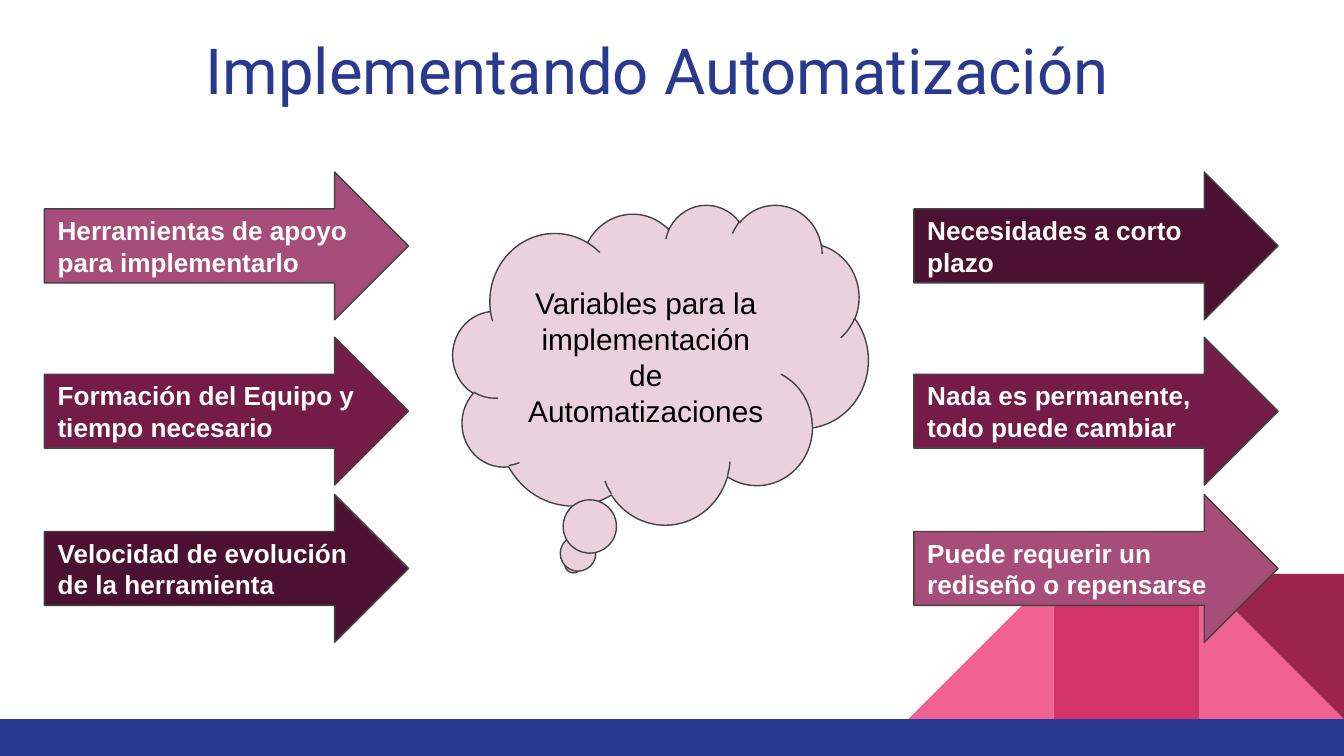
from dataclasses import dataclass

from pptx import Presentation
from pptx.dml.color import RGBColor
from pptx.enum.shapes import MSO_SHAPE
from pptx.enum.text import MSO_ANCHOR, PP_ALIGN
from pptx.shapes.autoshape import Shape
from pptx.slide import Slide
from pptx.util import Inches, Pt

COLORS = {
    "blue": "2A3990",
    "pink": "F06292",
    "rose": "D23369",
    "crimson": "9C254D",
    "mauve": "A64D79",
    "plum": "741B47",
    "wine": "4C1130",
    "blush": "EAD1DC",
    "outline": "434343",
    "white": "FFFFFF",
    "black": "000000",
}


@dataclass(frozen=True)
class Box:
    left: float
    top: float
    width: float
    height: float


@dataclass(frozen=True)
class TextStyle:
    size: float
    color: str
    font: str = "Arial"
    bold: bool = False
    align: PP_ALIGN = PP_ALIGN.LEFT
    anchor: MSO_ANCHOR = MSO_ANCHOR.MIDDLE


@dataclass(frozen=True)
class Arrow:
    text: str
    color: str


TITLE_STYLE = TextStyle(34, "blue", font="Roboto", anchor=MSO_ANCHOR.TOP)
ARROW_STYLE = TextStyle(14, "white", bold=True)
CLOUD_STYLE = TextStyle(16, "black", align=PP_ALIGN.CENTER)

TILE = 1.08
FLOOR_TOP = 5.35
TILE_TOP = FLOOR_TOP - TILE
ARROW_TOPS = (1.28, 2.51, 3.68)
ARROW_COLUMNS = {
    0.33: (
        Arrow("Herramientas de apoyo para implementarlo", "mauve"),
        Arrow("Formación del Equipo y tiempo necesario", "plum"),
        Arrow("Velocidad de evolución de la herramienta", "wine"),
    ),
    6.8: (
        Arrow("Necesidades a corto plazo", "wine"),
        Arrow("Nada es permanente, todo puede cambiar", "plum"),
        Arrow("Puede requerir un rediseño o repensarse", "mauve"),
    ),
}


def rgb(name: str) -> RGBColor:
    return RGBColor.from_string(COLORS[name])


def lengths(box: Box) -> tuple:
    return tuple(Inches(value) for value in (box.left, box.top, box.width, box.height))


def add_filled(slide: Slide, kind: MSO_SHAPE, box: Box, color: str) -> Shape:
    shape = slide.shapes.add_shape(kind, *lengths(box))
    shape.shadow.inherit = False
    shape.fill.solid()
    shape.fill.fore_color.rgb = rgb(color)
    shape.line.fill.background()
    return shape


def write(shape: Shape, text: str, style: TextStyle) -> None:
    frame = shape.text_frame
    frame.word_wrap = True
    frame.vertical_anchor = style.anchor
    frame.margin_left = frame.margin_right = Inches(0.1)
    frame.margin_top = frame.margin_bottom = Inches(0.1)
    frame.text = text
    paragraph = frame.paragraphs[0]
    paragraph.alignment = style.align
    font = paragraph.runs[0].font
    font.name = style.font
    font.size = Pt(style.size)
    font.bold = style.bold
    font.color.rgb = rgb(style.color)


def add_labelled(slide: Slide, kind: MSO_SHAPE, box: Box, color: str,
                 text: str, style: TextStyle) -> Shape:
    shape = add_filled(slide, kind, box, color)
    shape.line.color.rgb = rgb("outline")
    shape.line.width = Pt(0.75)
    write(shape, text, style)
    return shape


def add_decoration(slide: Slide) -> None:
    left, middle, right = (Box(10 - count * TILE, TILE_TOP, TILE, TILE) for count in (3, 2, 1))
    add_filled(slide, MSO_SHAPE.RIGHT_TRIANGLE, right, "pink")
    mirrored = add_filled(slide, MSO_SHAPE.RIGHT_TRIANGLE, left, "pink")
    mirrored._element.spPr.xfrm.set("flipH", "1")
    add_filled(slide, MSO_SHAPE.RECTANGLE, middle, "rose")
    add_filled(slide, MSO_SHAPE.RIGHT_TRIANGLE, right, "crimson").rotation = 180
    add_filled(slide, MSO_SHAPE.RECTANGLE, Box(0, FLOOR_TOP, 10, 0.28), "blue")


def add_arrows(slide: Slide, left: float) -> None:
    for arrow, top in zip(ARROW_COLUMNS[left], ARROW_TOPS):
        add_labelled(slide, MSO_SHAPE.RIGHT_ARROW, Box(left, top, 2.71, 1.1),
                     arrow.color, arrow.text, ARROW_STYLE)


def add_cloud(slide: Slide) -> None:
    cloud = add_labelled(slide, MSO_SHAPE.CLOUD_CALLOUT, Box(3.37, 1.52, 3.09, 2.38),
                         "blush", "Variables para la implementación de Automatizaciones",
                         CLOUD_STYLE)
    cloud.adjustments[0] = -0.21
    cloud.adjustments[1] = 0.625


def main() -> None:
    presentation = Presentation()
    presentation.slide_width = Inches(10)
    presentation.slide_height = Inches(5.625)
    slide = presentation.slides.add_slide(presentation.slide_layouts[6])

    add_decoration(slide)
    title = slide.shapes.add_textbox(*lengths(Box(1.43, 0.13, 7.13, 0.66)))
    write(title, "Implementando Automatización", TITLE_STYLE)
    left_column, right_column = ARROW_COLUMNS
    add_arrows(slide, left_column)
    add_cloud(slide)
    add_arrows(slide, right_column)

    presentation.save("out.pptx")


if __name__ == "__main__":
    main()
